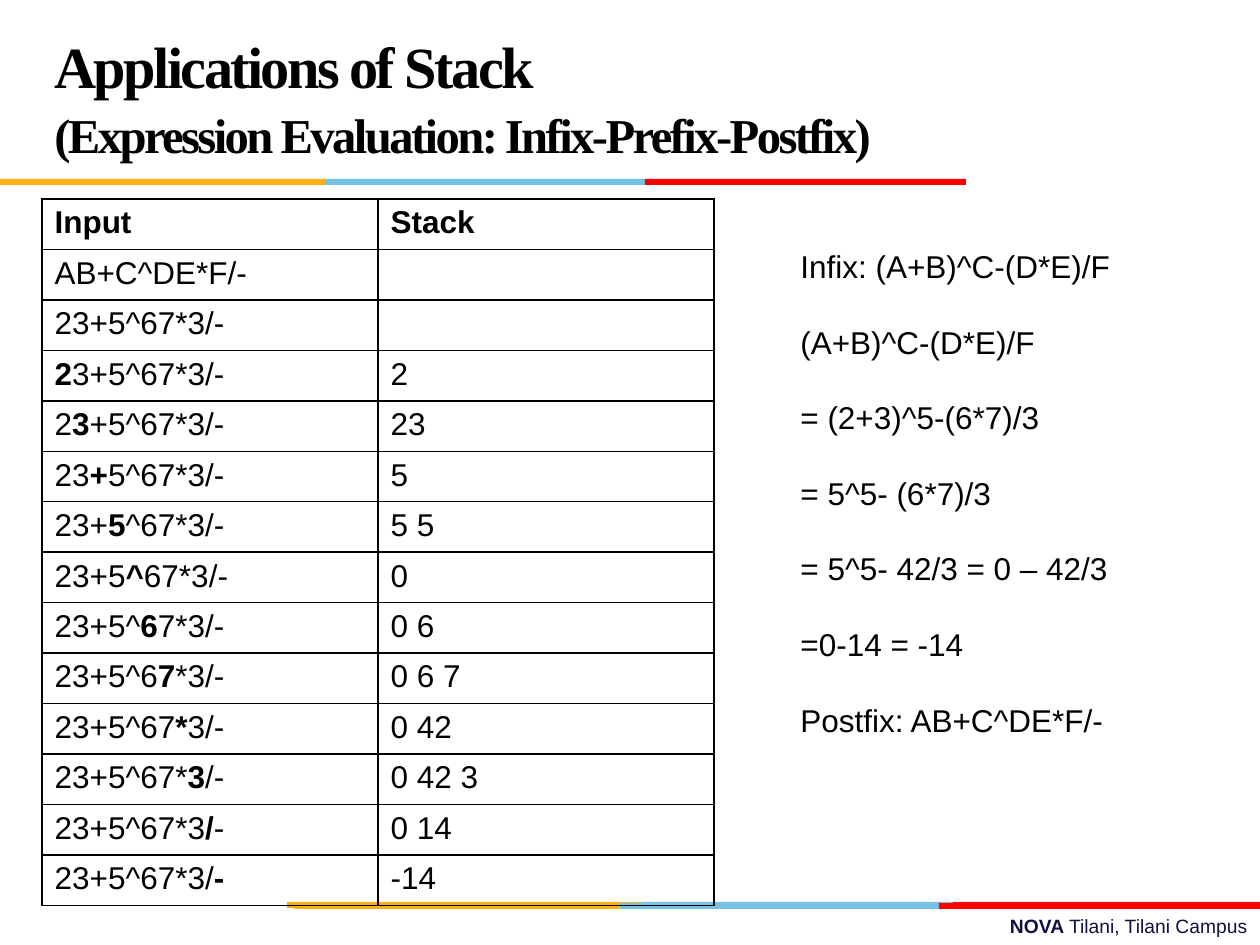
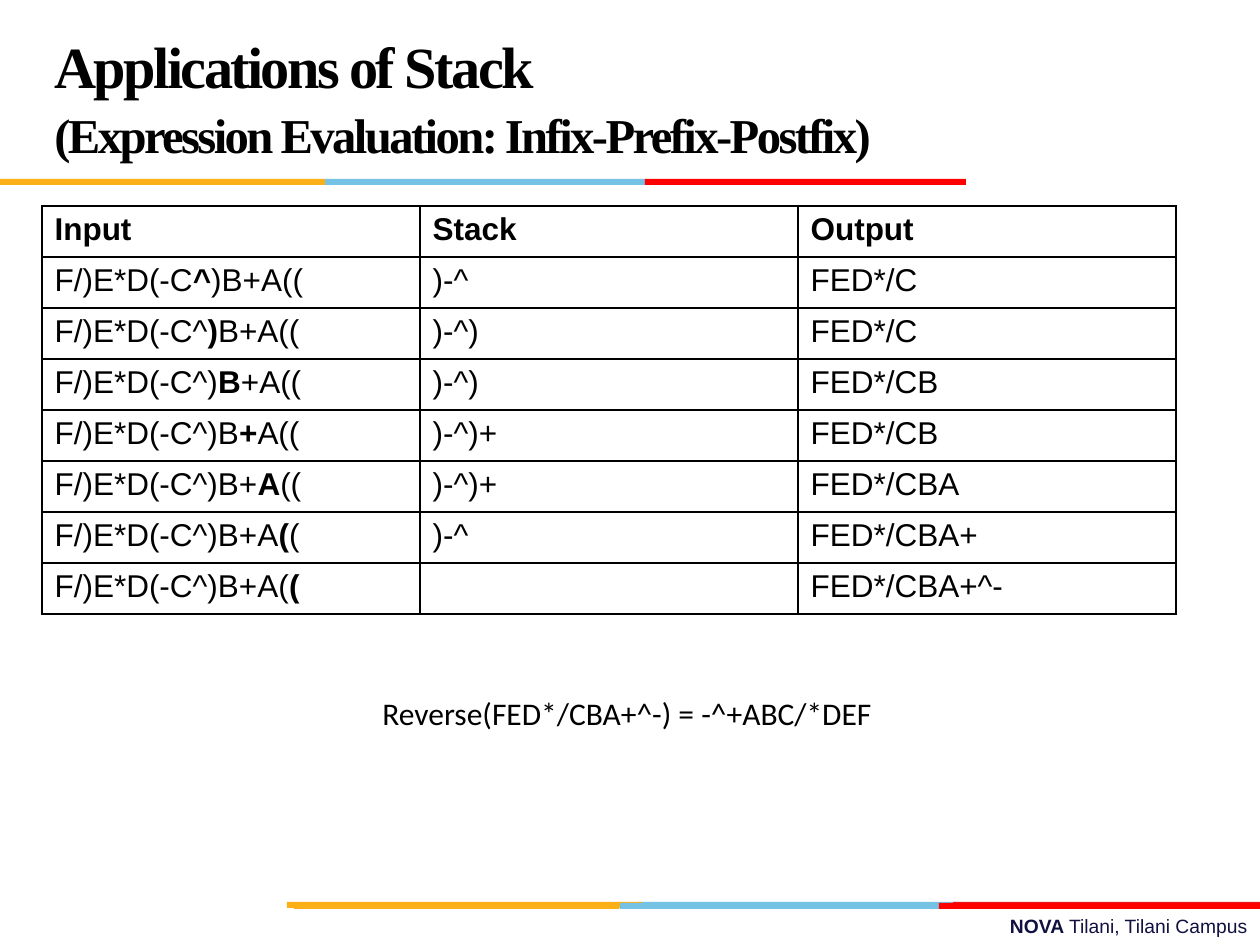
from dataclasses import dataclass

from lxml import etree
from pptx import Presentation
from pptx import util as u
from pptx.dml.color import RGBColor
from pptx.enum import shapes, text
from pptx.oxml.ns import qn

EMU_PER_PX = u.Inches(1) / 126


def px(length):
    return u.Emu(round(length * EMU_PER_PX))


@dataclass(frozen=True)
class Theme:
    gold: str = "FCB017"
    sky: str = "76C2E5"
    crimson: str = "E31C24"
    red: str = "FF0000"
    navy: str = "101141"
    ink: str = "000000"
    heading_font: str = "Times New Roman"
    body_font: str = "Arial"
    note_font: str = "Calibri"
    heading_size: float = 33.3
    subheading_size: float = 27.8
    body_size: float = 18
    footer_size: float = 11


THEME = Theme()
BAND_HEIGHT = 6

# Shared bands: top, then (left, width, colour) from back to front
BANDS = [
    (902, [(638, 321, THEME.sky), (953, 307, THEME.crimson), (287, 355, THEME.gold)]),
    (903, [(620, 321, THEME.sky), (294, 325, THEME.gold), (939, 321, THEME.red)]),
    (179, [(325, 321, THEME.sky), (0, 325, THEME.gold), (645, 321, THEME.red)]),
]


class Deck:
    def __init__(self, theme):
        self.theme = theme
        self.prs = Presentation()
        self.prs.slide_width, self.prs.slide_height = px(1260), px(945)
        self.slide = None

    def add_runs(self, paragraph, runs, colour=None, tracking=None, **style):
        """Add (words, bold) runs; style holds font attributes."""
        style = {"name": self.theme.body_font,
                 "size": self.theme.body_size} | style
        for words, bold in runs:
            run = paragraph.add_run()
            run.text = words
            formats = style | {"size": u.Pt(style["size"]), "bold": bold}
            for name, value in formats.items():
                setattr(run.font, name, value)
            run.font.color.rgb = RGBColor.from_string(colour or self.theme.ink)
            if tracking:
                run.font._element.set("spc", str(tracking))

    def text(self, box, lines, line_spacing=None, align=None, wrap=True,
             anchor=text.MSO_ANCHOR.TOP):
        """Each line is a pair of runs and style."""
        frame = self.slide.shapes.add_textbox(*map(px, box)).text_frame
        frame.word_wrap = wrap
        frame.vertical_anchor = anchor
        for number, (runs, style) in enumerate(lines):
            paragraph = frame.add_paragraph() if number else frame.paragraphs[0]
            paragraph.alignment = align
            paragraph.line_spacing = line_spacing
            self.add_runs(paragraph, runs, **style)

    def band(self, left, top, width, colour):
        bar = self.slide.shapes.add_shape(
            shapes.MSO_SHAPE.RECTANGLE, *map(px, (left, top, width, BAND_HEIGHT)))
        bar.shadow.inherit = False
        bar.fill.solid()
        bar.fill.fore_color.rgb = RGBColor.from_string(colour)
        bar.line.fill.background()

    def borders(self, cell):
        properties = cell._tc.get_or_add_tcPr()
        for position, side in enumerate(("lnL", "lnR", "lnT", "lnB")):
            line = etree.Element(qn(f"a:{side}"), w=str(u.Pt(1)))
            fill = etree.SubElement(line, qn("a:solidFill"))
            etree.SubElement(fill, qn("a:srgbClr"), val=self.theme.ink)
            properties.insert(position, line)

    def table(self, box, rows):
        """Each cell is a list of runs; columns and rows share the box evenly."""
        grid = self.slide.shapes.add_table(
            len(rows), len(rows[0]), *map(px, box)).table
        grid.first_row = grid.horz_banding = False
        for r, row in enumerate(rows):
            for c, runs in enumerate(row):
                cell = grid.cell(r, c)
                cell.fill.background()
                self.borders(cell)
                self.add_runs(cell.text_frame.paragraphs[0], runs)

    def new_slide(self, heading, subheading):
        """Start a blank slide with the footer, bands and title."""
        self.slide = self.prs.slides.add_slide(self.prs.slide_layouts[6])
        theme = self.theme
        self.text((451, 908, 809, 37),
                  [([("NOVA ", True), ("Tilani, Tilani Campus", False)],
                    {"colour": theme.navy, "size": theme.footer_size})],
                  align=text.PP_ALIGN.RIGHT)
        for top, parts in BANDS:
            for left, width, colour in parts:
                self.band(left, top, width, colour)
        title_style = {"name": theme.heading_font, "tracking": -150}
        self.text((42, 21, 872, 158),
                  [([(heading, True)], title_style | {"size": theme.heading_size}),
                   ([(subheading, True)], title_style | {"size": theme.subheading_size})],
                  line_spacing=u.Pt(36), anchor=text.MSO_ANCHOR.MIDDLE)


def plain(words):
    return [(words, False)] if words else []


def header(*names):
    return [[(name, True)] for name in names]


def scan(expression, start, results):
    """One row per symbol read, with that symbol in bold."""
    rows = []
    for i, result in enumerate(results, start):
        symbols = [(expression[:i], False), (expression[i], True),
                   (expression[i + 1:], False)]
        rows.append([[run for run in symbols if run[0]], *map(plain, result)])
    return rows


TITLE = ("Applications of Stack", "(Expression Evaluation: Infix-Prefix-Postfix)")
POSTFIX = "23+5^67*3/-"
REVERSED_INFIX = "F/)E*D(-C^)B+A(("

STACKS = ["2", "23", "5", "5 5", "0", "0 6", "0 6 7", "0 42", "0 42 3", "0 14", "-14"]
STACKS_AND_OUTPUTS = [
    (")-^", "FED*/C"),
    (")-^)", "FED*/C"),
    (")-^)", "FED*/CB"),
    (")-^)+", "FED*/CB"),
    (")-^)+", "FED*/CBA"),
    (")-^", "FED*/CBA+"),
    ("", "FED*/CBA+^-"),
]
WORKING = [
    "Infix: (A+B)^C-(D*E)/F",
    "(A+B)^C-(D*E)/F",
    "= (2+3)^5-(6*7)/3",
    "= 5^5- (6*7)/3",
    "= 5^5- 42/3 = 0 – 42/3",
    "=0-14 = -14",
    "Postfix: AB+C^DE*F/-",
]


def main():
    deck = Deck(THEME)

    # Slide 1: evaluating the postfix expression
    deck.new_slide(*TITLE)
    unread = [[plain(words), []] for words in ("AB+C^DE*F/-", POSTFIX)]
    evaluation = scan(POSTFIX, 0, [(stack,) for stack in STACKS])
    deck.table((42, 199, 672, 706), [header("Input", "Stack"), *unread, *evaluation])
    deck.text((788, 203, 357, 536), [(plain(step), {}) for step in WORKING],
              line_spacing=2.0)

    # Slide 2: converting infix to prefix
    deck.new_slide(*TITLE)
    conversion = scan(REVERSED_INFIX, 9, STACKS_AND_OUTPUTS)
    deck.table((42, 206, 1134, 408), [header("Input", "Stack", "Output"), *conversion])
    deck.text((370, 688, 520, 50),
              [(plain("Reverse(FED*/CBA+^-) = -^+ABC/*DEF"),
                {"name": THEME.note_font})], wrap=False)

    deck.prs.save("out.pptx")


if __name__ == "__main__":
    main()
